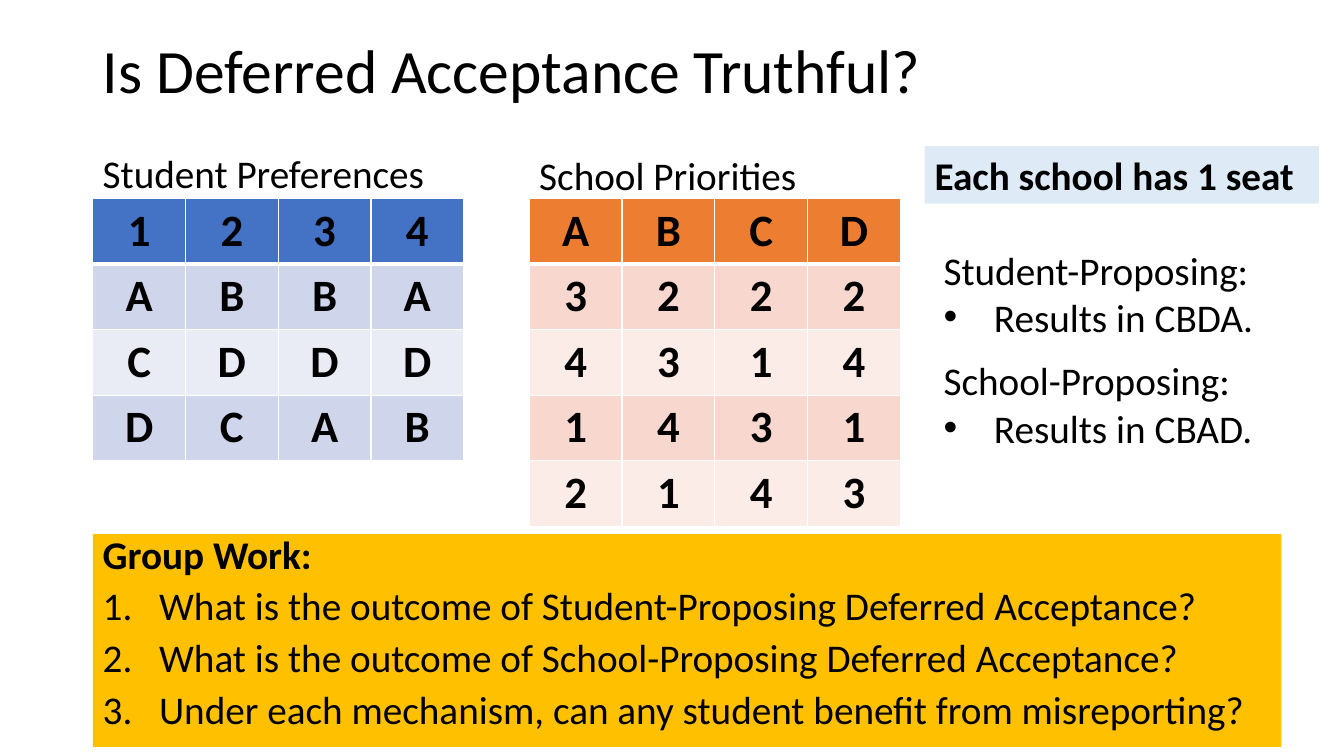
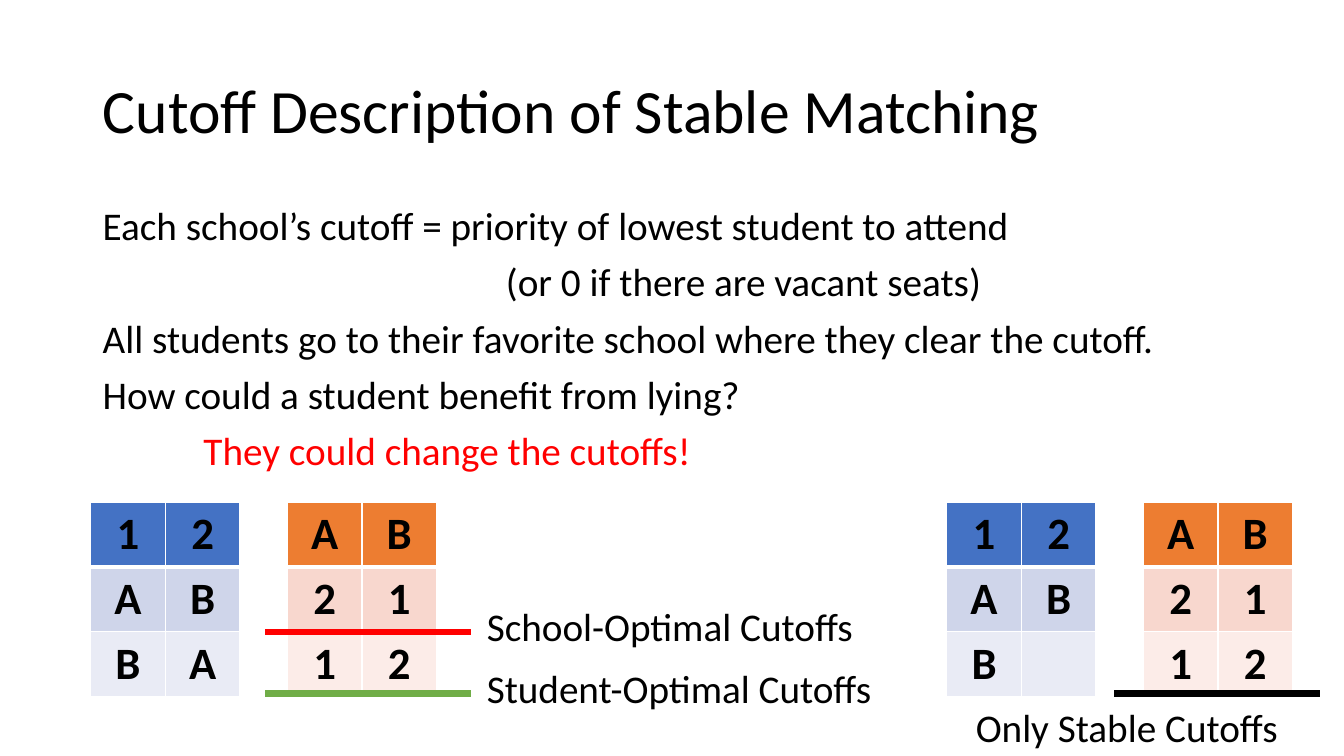
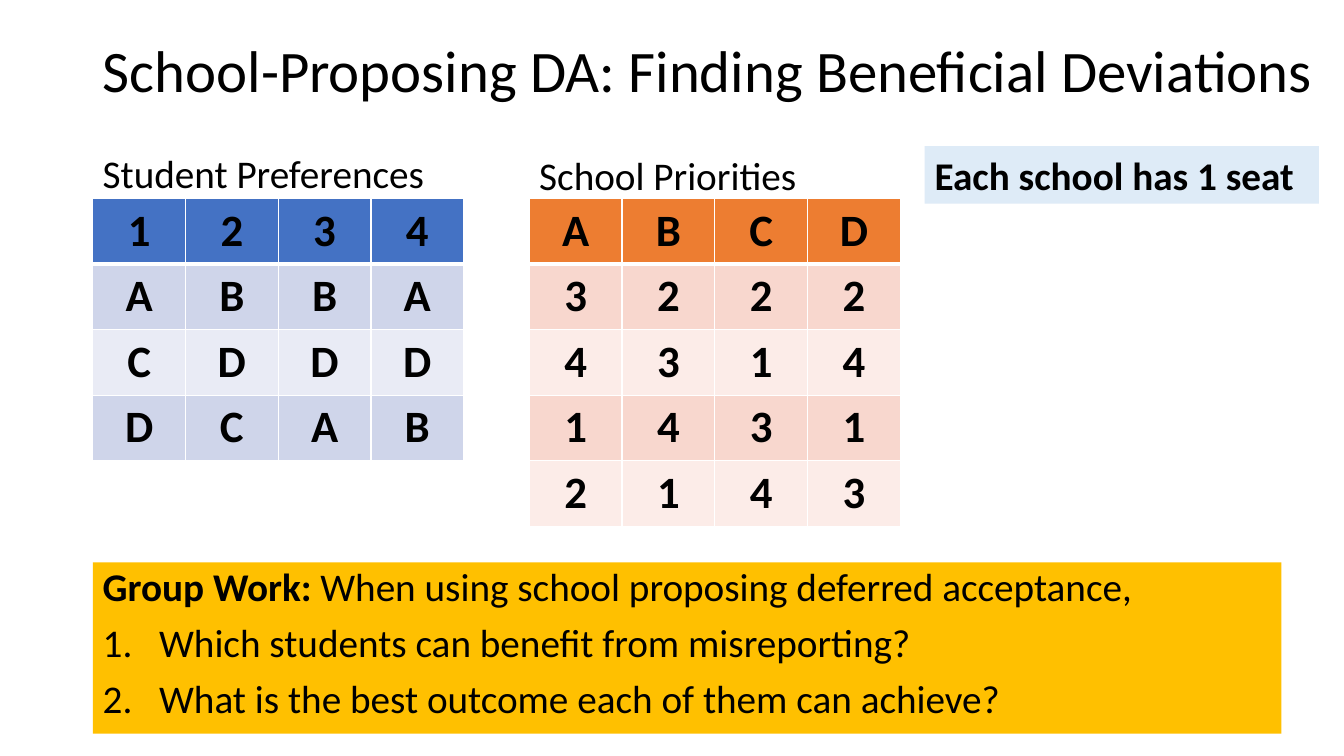
import pptx
import pptx.util
import pptx.dml.color
import pptx.enum.shapes
import pptx.enum.text
import pptx.oxml
import pptx.oxml.ns
import lxml.etree

Inches = pptx.util.Inches
Pt = pptx.util.Pt
rgb = pptx.dml.color.RGBColor.from_string
qn = pptx.oxml.ns.qn
ALIGN = pptx.enum.text.PP_ALIGN
ANCHOR = pptx.enum.text.MSO_ANCHOR
RECTANGLE = pptx.enum.shapes.MSO_SHAPE.RECTANGLE
STRAIGHT = pptx.enum.shapes.MSO_CONNECTOR.STRAIGHT

FONT = "Calibri"
BLACK, WHITE, RED, GREEN = "000000", "FFFFFF", "FF0000", "70AD47"
GOLD, PALE_BLUE = "FFC000", "DEEBF7"
# Header, odd row, even row
STUDENT_COLORS = ("4472C4", "CFD5EA", "E9EBF5")
SCHOOL_COLORS = ("ED7D31", "F8D7CE", "FCECE8")
LEFT = 0.92


def write(frame, text, lead="", size=28, color=BLACK, bold=False, align=ALIGN.LEFT,
          spacing=1.0, before=0, indent=0, hanging=0, bullet=None):
    """Add one paragraph to a text frame, with an optional bold lead-in."""
    frame.word_wrap = True
    paragraph = frame.paragraphs[0]
    if paragraph.runs:
        paragraph = frame.add_paragraph()
        paragraph.space_before = Pt(before)
    paragraph.alignment = align
    paragraph.line_spacing = spacing
    properties = paragraph._p.get_or_add_pPr()
    properties.set("marL", str(Inches(indent)))
    properties.set("indent", str(Inches(-hanging)))
    if bullet == "1.":
        lxml.etree.SubElement(properties, qn("a:buFont"), typeface="+mj-lt")
        lxml.etree.SubElement(properties, qn("a:buAutoNum"), type="arabicPeriod")
    elif bullet:
        lxml.etree.SubElement(properties, qn("a:buFont"), typeface="Arial")
        lxml.etree.SubElement(properties, qn("a:buChar"), char=bullet)
    for part, is_bold in ((lead, True), (text, bold)):
        if part:
            run = paragraph.add_run()
            run.text = part
            run.font.name = FONT
            run.font.size = Pt(size)
            run.font.bold = is_bold
            run.font.color.rgb = rgb(color)


def add_grid(slide, rows, colors, left, top, column_width, row_height):
    """Add a table from strings that hold one character per cell."""
    columns = len(rows[0])
    table = slide.shapes.add_table(
        len(rows), columns, Inches(left), Inches(top),
        Inches(column_width * columns), Inches(row_height * len(rows))).table
    for column in table.columns:
        column.width = Inches(column_width)
    for r, row in enumerate(rows):
        table.rows[r].height = Inches(row_height)
        for c, entry in enumerate(row):
            cell = table.cell(r, c)
            properties = cell._tc.get_or_add_tcPr()
            for side in ("lnL", "lnR", "lnT", "lnB"):
                under_header = (r, side) in ((0, "lnB"), (1, "lnT"))
                border = lxml.etree.SubElement(
                    properties, qn("a:" + side), w=str(Pt(3 if under_header else 1)))
                fill = lxml.etree.SubElement(border, qn("a:solidFill"))
                lxml.etree.SubElement(fill, qn("a:srgbClr"), val=WHITE)
            cell.fill.solid()
            cell.fill.fore_color.rgb = rgb(colors[0] if r == 0 else colors[2 - r % 2])
            if entry.strip():
                write(cell.text_frame, entry, size=32, bold=True, align=ALIGN.CENTER)


deck = pptx.Presentation()
deck.slide_width, deck.slide_height = Inches(13.33), Inches(7.5)

# Slides and titles
slides = []
for heading, top, width, size in (
        ("Is Deferred Acceptance Truthful?", 0, 11.5, 44),
        ("Cutoff Description of Stable Matching", 0.4, 11.5, 44),
        ("School-Proposing DA: Finding Beneficial Deviations", 0, 12.41, 42)):
    slide = deck.slides.add_slide(deck.slide_layouts[5])
    title = slide.shapes.title
    title.left, title.top = Inches(LEFT), Inches(top)
    title.width, title.height = Inches(width), Inches(1.45)
    title.text_frame.vertical_anchor = ANCHOR.MIDDLE
    write(title.text_frame, heading, size=size, spacing=0.9)
    slides.append(slide)
truthful, cutoffs, deviations = slides

# Preference and priority tables of the four-student example
for slide in (truthful, deviations):
    add_grid(slide, ("1234", "ABBA", "CDDD", "DCAB"), STUDENT_COLORS,
             LEFT, 1.97, 0.92, 0.65)
    add_grid(slide, ("ABCD", "3222", "4314", "1431", "2143"), SCHOOL_COLORS,
             5.25, 1.97, 0.92, 0.65)

# Two-student tables, with and without the second choice of student 2
for left, last_choices in ((0.9, "BA"), (9.39, "B ")):
    add_grid(cutoffs, ("12", "AB", last_choices), STUDENT_COLORS, left, 4.98, 0.74, 0.63)
    add_grid(cutoffs, ("AB", "21", "12"), SCHOOL_COLORS, left + 1.95, 4.98, 0.74, 0.63)

# Cutoff lines
for left, top, color in ((2.63, 6.27, RED), (2.63, 6.88, GREEN), (11.05, 6.88, BLACK)):
    cutoff = cutoffs.shapes.add_connector(
        STRAIGHT, Inches(left), Inches(top), Inches(left + 2.04), Inches(top))
    cutoff.line.color.rgb = rgb(color)
    cutoff.line.width = Pt(4.5)
    lxml.etree.SubElement(cutoff._element.spPr, qn("a:effectLst"))

# Labels
for slide, label, left, top in (
        (truthful, "Student Preferences", LEFT, 1.43),
        (truthful, "School Priorities", 5.25, 1.45),
        (deviations, "Student Preferences", LEFT, 1.43),
        (deviations, "School Priorities", 5.25, 1.45),
        (cutoffs, "School-Optimal Cutoffs", 4.73, 5.93),
        (cutoffs, "Student-Optimal Cutoffs", 4.73, 6.54),
        (cutoffs, "Only Stable Cutoffs", 9.58, 6.93)):
    box = slide.shapes.add_textbox(Inches(left), Inches(top), Inches(4.2 if left == 4.73 else 3.6),
                                   Inches(0.57))
    write(box.text_frame, label)

# Outcome of each mechanism
for top, mechanism, outcome in (
        (2.39, "Student-Proposing:", "Results in CBDA."),
        (3.49, "School-Proposing:", "Results in CBAD.")):
    box = truthful.shapes.add_textbox(Inches(9.26), Inches(top), Inches(3.82), Inches(1.04))
    write(box.text_frame, mechanism)
    write(box.text_frame, outcome, indent=0.5, hanging=0.5, bullet="•")

# Seat notes and group work panels
panels = []
for slide, left, top, width, height, color in (
        (truthful, 9.17, 1.45, 3.91, 0.57, PALE_BLUE),
        (deviations, 9.17, 1.45, 3.91, 0.57, PALE_BLUE),
        (truthful, LEFT, 5.3, 11.79, 2.11, GOLD),
        (deviations, LEFT, 5.58, 11.79, 1.7, GOLD)):
    panel = slide.shapes.add_shape(
        RECTANGLE, Inches(left), Inches(top), Inches(width), Inches(height))
    panel.shadow.inherit = False
    panel.fill.solid()
    panel.fill.fore_color.rgb = rgb(color)
    panel.line.fill.background()
    panel.text_frame.vertical_anchor = ANCHOR.TOP
    panels.append(panel.text_frame)

for seat_note in panels[:2]:
    write(seat_note, "Each school has 1 seat", bold=True)

for group_work, lead, task, spacing, questions in (
        (panels[2], "Group Work:", "", 0.8, (
            "What is the outcome of Student-Proposing Deferred Acceptance?",
            "What is the outcome of School-Proposing Deferred Acceptance?",
            "Under each mechanism, can any student benefit from misreporting?")),
        (panels[3], "Group Work: ", "When using school proposing deferred acceptance,", 0.9, (
            "Which students can benefit from misreporting?",
            "What is the best outcome each of them can achieve?"))):
    write(group_work, task, lead=lead, spacing=spacing)
    for question in questions:
        write(group_work, question, spacing=spacing, before=10,
              indent=0.56, hanging=0.56, bullet="1.")

# Cutoff explanation
explanation = cutoffs.shapes.add_textbox(Inches(LEFT), Inches(2), Inches(11.5), Inches(2.9))
for line, indent, color in (
        ("Each school’s cutoff = priority of lowest student to attend", 0, BLACK),
        ("(or 0 if there are vacant seats)", 4, BLACK),
        ("All students go to their favorite school where they clear the cutoff.", 0, BLACK),
        ("How could a student benefit from lying?", 0, BLACK),
        ("They could change the cutoffs!", 1, RED)):
    write(explanation.text_frame, line, color=color, spacing=0.9, before=10, indent=indent)

deck.save("out.pptx")
